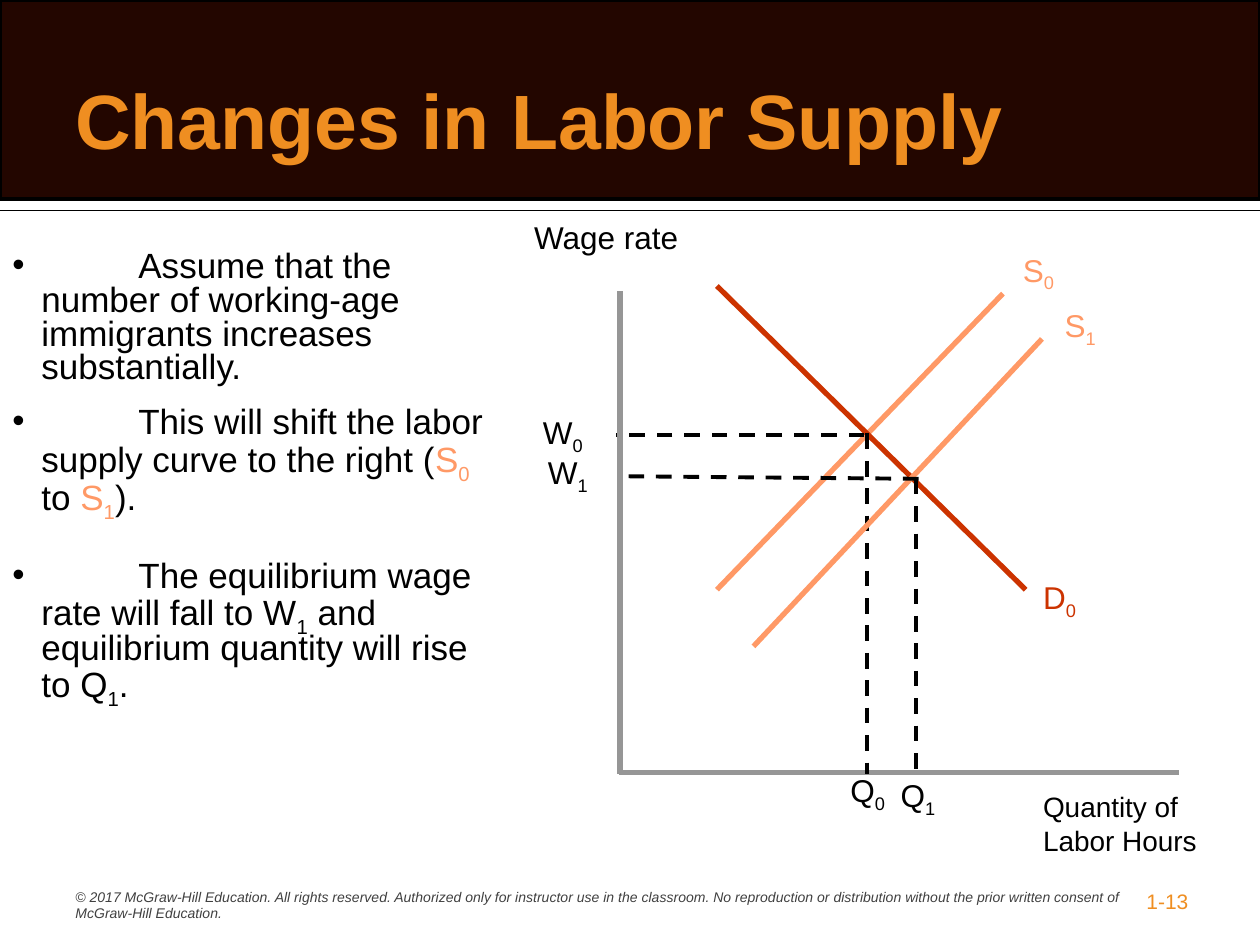
from typing import NamedTuple

from lxml.etree import SubElement
from pptx import Presentation
from pptx.dml.color import RGBColor
from pptx.enum.dml import MSO_LINE
from pptx.enum.shapes import MSO_CONNECTOR, MSO_SHAPE
from pptx.enum.text import MSO_ANCHOR
from pptx.oxml.ns import qn
from pptx.util import Inches, Pt

BLACK, AXIS, ORANGE = "000000", "969696", "EF8E21"
SUPPLY, DEMAND = "FF9966", "CC3300"


class Line(NamedTuple):
    x1: float
    y1: float
    x2: float
    y2: float
    color: str = BLACK
    width: float = 2.25
    dashed: bool = False


class Label(NamedTuple):
    text: str
    x: float
    y: float
    w: float
    h: float = 0.4
    color: str = BLACK
    size: float = 18


class Bullet(NamedTuple):
    y: float
    w: float
    phrases: list[tuple[str, str]]


LINES = [
    Line(0, 1.67, 10, 1.67, width=1),
    Line(4.92, 2.31, 4.92, 6.14, AXIS, 3),
    Line(4.91, 6.13, 9.36, 6.13, AXIS, 3),
    Line(5.69, 4.68, 7.96, 2.33, SUPPLY, 3),
    Line(5.69, 2.27, 8.14, 4.68, DEMAND, 3),
    Line(6.88, 3.44, 6.88, 6.14, dashed=True),
    Line(6.86, 3.45, 4.89, 3.45, dashed=True),
    Line(8.27, 2.69, 5.98, 5.13, SUPPLY, 3),
    Line(7.29, 3.8, 4.98, 3.78, dashed=True),
    Line(7.27, 3.8, 7.27, 6.11, dashed=True),
]

# An underscore makes the next character a subscript.
LABELS = [
    Label("Wage rate", 4.14, 1.68, 1.42),
    Label("Quantity of Labor Hours", 8.18, 6.22, 1.51, 0.64, size=16),
    Label("S_0", 8.02, 1.94, 0.53, color=SUPPLY),
    Label("S_1", 8.35, 2.38, 0.52, color=SUPPLY),
    Label("D_0", 8.18, 4.54, 0.53, color=DEMAND),
    Label("W_0", 4.21, 3.23, 0.65),
    Label("W_1", 4.25, 3.55, 0.65),
    Label("Q_0", 6.65, 6.07, 0.58),
    Label("Q_1", 7.05, 6.11, 0.66),
    Label("1-13", 9, 7, 0.75, 0.3, ORANGE, 12),
]

BULLETS = [
    Bullet(1.95, 4.17, [
        ("\tAssume that the number of working-age immigrants increases substantially.", BLACK)]),
    Bullet(3.19, 4, [
        ("\tThis will shift the labor supply curve to the right (", BLACK),
        ("S_0 ", SUPPLY), ("to ", BLACK), ("S_1", SUPPLY), (").", BLACK)]),
    Bullet(4.41, 4.08, [
        ("\tThe equilibrium wage rate will fall to W_1 and equilibrium quantity will rise to Q_1.",
         BLACK)]),
]


def rgb(color: str) -> RGBColor:
    return RGBColor.from_string(color)


def add_line(s, line: Line) -> None:
    ends = [Inches(v) for v in line[:4]]
    sp = s.shapes.add_connector(MSO_CONNECTOR.STRAIGHT, *ends)
    sp.line.color.rgb = rgb(line.color)
    sp.line.width = Pt(line.width)
    if line.dashed:
        sp.line.dash_style = MSO_LINE.DASH
    SubElement(sp._element.spPr, qn("a:effectLst"))


def add_run(p, text: str, color: str, size: float, subscript: bool = False) -> None:
    r = p.add_run()
    r.text = text
    r.font.name = "Arial"
    r.font.size = Pt(size)
    r.font.color.rgb = rgb(color)
    if subscript:
        r.font._element.set("baseline", "-25000")


def add_marked_text(p, text: str, color: str, size: float) -> None:
    """Add runs, lowering each character that follows an underscore."""
    first, *rest = text.split("_")
    add_run(p, first, color, size)
    for piece in rest:
        add_run(p, piece[0], color, size, subscript=True)
        if piece[1:]:
            add_run(p, piece[1:], color, size)


def add_box(s, x: float, y: float, w: float, h: float):
    tf = s.shapes.add_textbox(Inches(x), Inches(y), Inches(w), Inches(h)).text_frame
    tf.word_wrap = True
    return tf


def add_label(s, label: Label):
    tf = add_box(s, label.x, label.y, label.w, label.h)
    add_marked_text(tf.paragraphs[0], label.text, label.color, label.size)
    return tf


def add_bullet(s, bullet: Bullet) -> None:
    p = add_box(s, 0, bullet.y, bullet.w, 0.9).paragraphs[0]
    p.line_spacing = 0.8
    pPr = p._p.get_or_add_pPr()
    pPr.set("marL", str(Inches(0.23)))
    pPr.set("indent", str(-Inches(0.23)))
    SubElement(pPr, qn("a:buFont"), typeface="Arial")
    SubElement(pPr, qn("a:buChar"), char="•")
    tabs = SubElement(pPr, qn("a:tabLst"))
    SubElement(tabs, qn("a:tab"), pos=str(Inches(1)), algn="l")
    for text, color in bullet.phrases:
        add_marked_text(p, text, color, 20)


def add_header(s) -> None:
    sp = s.shapes.add_shape(MSO_SHAPE.RECTANGLE, 0, 0, Inches(10), Inches(1.58))
    sp.shadow.inherit = False
    sp.fill.solid()
    sp.fill.fore_color.rgb = rgb("230600")
    sp.line.color.rgb = rgb(BLACK)
    sp.line.width = Pt(2)
    tf = add_label(s, Label("Changes in Labor Supply", 0.5, 0.32, 9, 1.25, ORANGE, 44))
    tf.vertical_anchor = MSO_ANCHOR.MIDDLE
    tf.paragraphs[0].runs[0].font.bold = True


def add_copyright(s) -> None:
    tf = add_label(s, Label(
        "© 2017 McGraw-Hill Education. All rights reserved. Authorized only for instructor use "
        "in the classroom. No reproduction or distribution without the prior written consent of "
        "McGraw-Hill Education.", 0.5, 7, 8.58, 0.37, "404040", 8))
    tf.paragraphs[0].runs[0].font.italic = True


def main() -> None:
    prs = Presentation()
    prs.slide_width, prs.slide_height = Inches(10), Inches(7.5)
    s = prs.slides.add_slide(prs.slide_layouts[6])
    add_header(s)
    add_copyright(s)
    for bullet in BULLETS:
        add_bullet(s, bullet)
    for line in LINES:
        add_line(s, line)
    for label in LABELS:
        add_label(s, label)
    prs.save("out.pptx")


if __name__ == "__main__":
    main()
